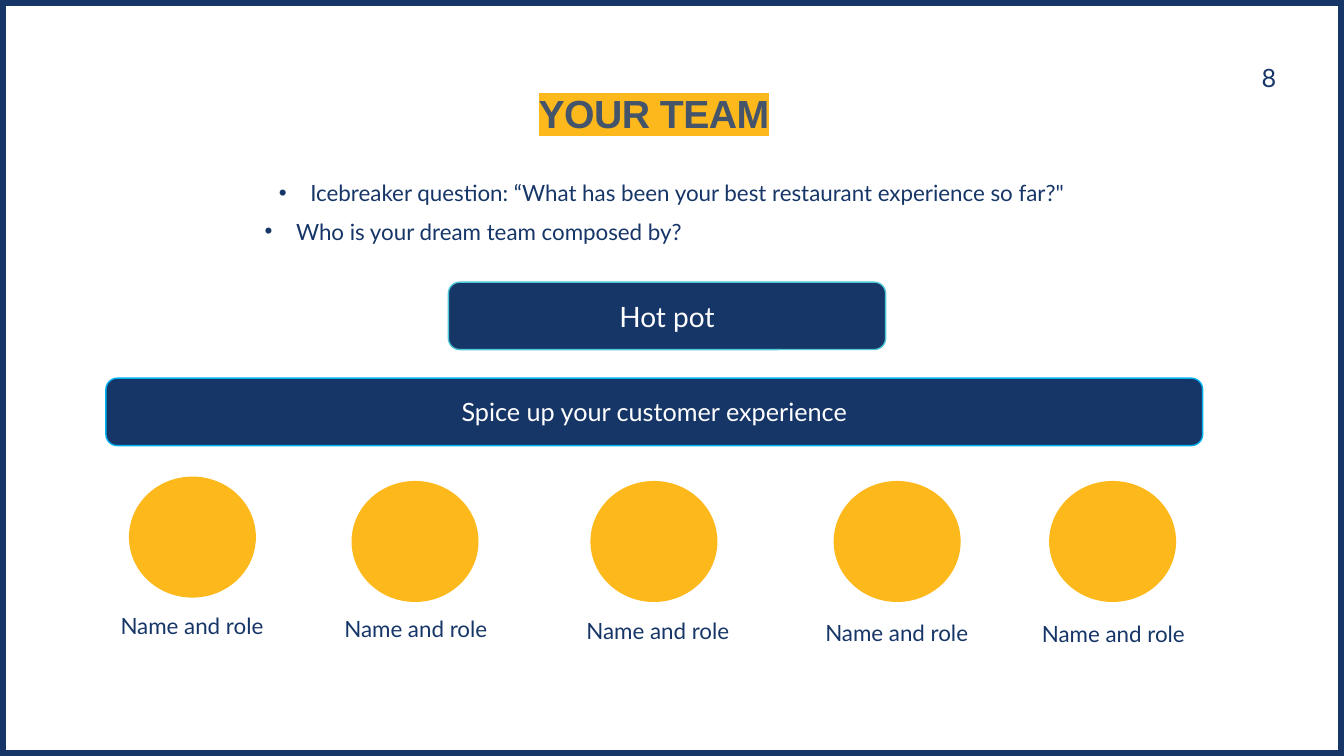
from lxml import etree
from pptx import Presentation
from pptx.dml.color import RGBColor as Rgb
from pptx.enum.shapes import MSO_SHAPE as Kind
from pptx.enum.text import MSO_ANCHOR as Anchor, PP_ALIGN as Align
from pptx.oxml.ns import qn
from pptx.util import Cm, Pt

NAVY, GOLD, WHITE, SLATE = "173668", "FDB91B", "FFFFFF", "44546A"
WIDE, HIGH = 33.87, 19.05
BODY = {"name": "Lato", "size": Pt(16)}
PAGE = {"name": "Lato", "size": Pt(18)}
HEAD = {"name": "Arial", "size": Pt(28), "bold": True}
TEAM = "Name and role"


def paint(form, hue):
    """Give a fill or font a solid colour."""
    if hasattr(form, "solid"):
        form.solid()
        form.fore_color.rgb = Rgb.from_string(hue)
    else:
        form.color.rgb = Rgb.from_string(hue)


def write(frame, text, look, hue, align=Align.CENTER):
    """Put one styled line of text in a frame."""
    frame.word_wrap = True
    para = frame.paragraphs[0]
    para.alignment = align
    run = para.add_run()
    run.text = text
    for key, val in look.items():
        setattr(run.font, key, val)
    paint(run.font, hue)
    return para, run


def add_text(slide, box, text, look=BODY, hue=NAVY, align=Align.CENTER):
    frame = slide.shapes.add_textbox(*map(Cm, box)).text_frame
    return frame, *write(frame, text, look, hue, align)


def add_form(slide, kind, box, fill=None, line=None, width=1):
    form = slide.shapes.add_shape(kind, *map(Cm, box))
    form.shadow.inherit = False
    if fill:
        paint(form.fill, fill)
    else:
        form.fill.background()
    if line:
        paint(form.line.fill, line)
        form.line.width = Pt(width)
    else:
        form.line.fill.background()
    return form


def add_title(slide, box, text):
    frame, _, run = add_text(slide, box, text, HEAD, SLATE)
    for side in ("left", "top", "right", "bottom"):
        setattr(frame, f"margin_{side}", 0)
    # Tight spacing and marker colour behind the letters
    props = run.font._element
    props.set("spc", "-40")
    mark = etree.Element(qn("a:highlight"))
    etree.SubElement(mark, qn("a:srgbClr")).set("val", GOLD)
    props.find(qn("a:solidFill")).addnext(mark)


def add_point(slide, box, text):
    _, para, _ = add_text(slide, box, text)
    props = para._p.get_or_add_pPr()
    props.set("marL", str(Cm(0.79)))
    props.set("indent", str(-Cm(0.79)))
    etree.SubElement(props, qn("a:buFont")).set("typeface", "Arial")
    etree.SubElement(props, qn("a:buChar")).set("char", "•")


def add_bar(slide, box, text, size, line):
    form = add_form(slide, Kind.ROUNDED_RECTANGLE, box, NAVY, line)
    form.text_frame.vertical_anchor = Anchor.MIDDLE
    write(form.text_frame, text, {"name": "Lato", "size": Pt(size)}, WHITE)


def add_member(slide, left, top, tag_left, tag_top):
    add_form(slide, Kind.OVAL, (left, top, 3.2, 3.05), GOLD)
    add_text(slide, (tag_left, tag_top, 5.82, 0.94), TEAM)


def main():
    deck = Presentation()
    deck.slide_width, deck.slide_height = Cm(WIDE), Cm(HIGH)
    slide = deck.slides.add_slide(deck.slide_layouts[6])

    # Frame, page number and title
    add_form(slide, Kind.RECTANGLE, (0, 0, WIDE, HIGH), line=NAVY, width=8)
    add_text(slide, (24.79, 1.45, 7.62, 1.02), "8", PAGE, align=Align.RIGHT)
    add_title(slide, (5.56, 2.24, 21.84, 1.19), "YOUR TEAM")

    # Questions
    add_point(slide, (3.81, 4.39, 26.24, 0.94),
              "Icebreaker question: “What has been your best restaurant "
              "experience so far?\"")
    add_point(slide, (-1.19, 5.36, 26.24, 0.94),
              "Who is your dream team composed by?")

    # Team name and motto
    add_bar(slide, (11.3, 7.11, 11.02, 1.7), "Hot pot", 20, "50C9D6")
    add_bar(slide, (2.67, 9.53, 27.64, 1.7),
            "Spice up your customer experience", 18, "00B0F0")

    # Members: circle left and top, label left and top
    for spot in ((3.25, 12.01, 1.93, 15.29),
                 (8.86, 12.12, 7.57, 15.37),
                 (14.88, 12.12, 13.67, 15.42),
                 (21.01, 12.12, 19.69, 15.47),
                 (26.44, 12.12, 25.15, 15.49)):
        add_member(slide, *spot)

    deck.save("out.pptx")


if __name__ == "__main__":
    main()
